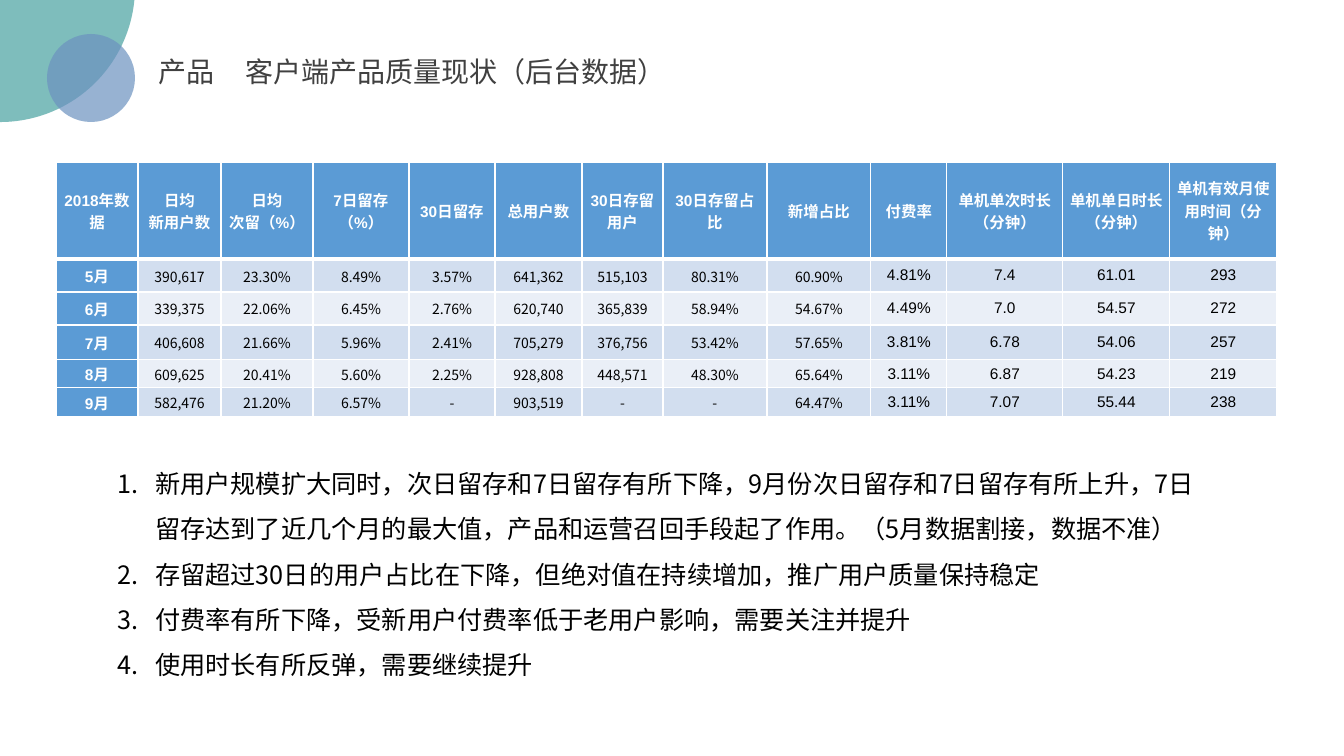
"""Build the client product quality slide with its monthly table and findings."""
from dataclasses import dataclass

from lxml import etree
from pptx import Presentation
from pptx.dml.color import RGBColor
from pptx.enum.shapes import MSO_SHAPE
from pptx.enum.text import MSO_ANCHOR, MSO_AUTO_SIZE, PP_ALIGN
from pptx.oxml.ns import qn
from pptx.util import Emu, Pt

SLIDE_W, SLIDE_H = 1344, 756
EMU_PER_PX = 12192000 / SLIDE_W

OVAL = MSO_SHAPE.OVAL
TOP, MIDDLE = MSO_ANCHOR.TOP, MSO_ANCHOR.MIDDLE
LEFT, CENTER = PP_ALIGN.LEFT, PP_ALIGN.CENTER
NO_AUTOFIT = MSO_AUTO_SIZE.NONE

WHITE = RGBColor(0xFF, 0xFF, 0xFF)
BLACK = RGBColor(0x00, 0x00, 0x00)
GRAY = RGBColor(0x40, 0x40, 0x40)
TEAL = RGBColor(0x48, 0xA2, 0xA0)
SLATE = RGBColor(0x6C, 0x92, 0xC0)
BLUE = RGBColor(0x5B, 0x9B, 0xD5)
BAND_DARK = RGBColor(0xD2, 0xDE, 0xEF)
BAND_LIGHT = RGBColor(0xEA, 0xEF, 0xF7)

CJK_FONT, LATIN_FONT = "Noto Sans CJK SC", "Arial"


@dataclass(frozen=True)
class Circle:
    left: int
    top: int
    size: int
    color: RGBColor


@dataclass(frozen=True)
class Column:
    width: int
    header: str
    values: tuple[str, ...]


@dataclass(frozen=True)
class CellStyle:
    font: str
    size: int
    color: RGBColor
    bold: bool
    inset: tuple[int, int, int, int]


CIRCLES = (Circle(-135, -148, 270, TEAL), Circle(47, 34, 88, SLATE))

HEADING = CellStyle(LATIN_FONT, 11, WHITE, True, (7, 0, 7, 0))
COUNT = CellStyle(CJK_FONT, 10, BLACK, False, (1, 1, 1, 0))
USAGE = CellStyle(LATIN_FONT, 11, BLACK, False, (7, 0, 7, 0))
FIRST_USAGE_COLUMN = 9

ROW_HEIGHTS = (97, 33, 33, 35, 28, 29)
COLUMNS = (
    Column(82, "2018年数据", ("5月", "6月", "7月", "8月", "9月")),
    Column(83, "日均\n新用户数", ("390,617", "339,375", "406,608", "609,625", "582,476")),
    Column(92, "日均\n次留（%）", ("23.30%", "22.06%", "21.66%", "20.41%", "21.20%")),
    Column(96, "7日留存（%）", ("8.49%", "6.45%", "5.96%", "5.60%", "6.57%")),
    Column(86, "30日留存", ("3.57%", "2.76%", "2.41%", "2.25%", "-")),
    Column(87, "总用户数", ("641,362", "620,740", "705,279", "928,808", "903,519")),
    Column(81, "30日存留用户", ("515,103", "365,839", "376,756", "448,571", "-")),
    Column(104, "30日存留占比", ("80.31%", "58.94%", "53.42%", "48.30%", "-")),
    Column(104, "新增占比", ("60.90%", "54.67%", "57.65%", "65.64%", "64.47%")),
    Column(76, "付费率", ("4.81%", "4.49%", "3.81%", "3.11%", "3.11%")),
    Column(116, "单机单次时长（分钟）", ("7.4", "7.0", "6.78", "6.87", "7.07")),
    Column(107, "单机单日时长（分钟）", ("61.01", "54.57", "54.06", "54.23", "55.44")),
    Column(107, "单机有效月使用时间（分钟）", ("293", "272", "257", "219", "238")),
)

TITLE = "产品\t客户端产品质量现状（后台数据）"
FINDINGS = (
    "新用户规模扩大同时，次日留存和7日留存有所下降，9月份次日留存和7日留存有所上升，"
    "7日留存达到了近几个月的最大值，产品和运营召回手段起了作用。（5月数据割接，数据不准）",
    "存留超过30日的用户占比在下降，但绝对值在持续增加，推广用户质量保持稳定",
    "付费率有所下降，受新用户付费率低于老用户影响，需要关注并提升",
    "使用时长有所反弹，需要继续提升",
)


def px(n: int) -> Emu:
    return Emu(round(n * EMU_PER_PX))


def write(tf, text: str, *, size: int, color: RGBColor, font: str = CJK_FONT,
          bold: bool = False, align=LEFT, spacing: float = 1.0) -> None:
    for i, line in enumerate(text.split("\n")):
        p = tf.paragraphs[0] if i == 0 else tf.add_paragraph()
        p.alignment, p.line_spacing, p.space_before = align, spacing, Pt(0)
        r = p.add_run()
        r.text = line
        r.font.name, r.font.size, r.font.bold = font, Pt(size), bold
        r.font.color.rgb = color
        latin = r.font._element.find(qn("a:latin"))
        ea = etree.Element(qn("a:ea"), typeface=CJK_FONT)
        latin.addnext(ea)


def place(s, left: int, top: int, width: int, height: int):
    s.left, s.top, s.width, s.height = px(left), px(top), px(width), px(height)
    tf = s.text_frame
    tf.word_wrap, tf.auto_size, tf.vertical_anchor = True, NO_AUTOFIT, TOP
    return tf


def add_circle(slide, circle: Circle) -> None:
    s = slide.shapes.add_shape(OVAL, px(circle.left), px(circle.top),
                               px(circle.size), px(circle.size))
    s.shadow.inherit = False
    s.fill.solid()
    s.fill.fore_color.rgb = circle.color
    s.line.fill.background()
    rgb = s.element.spPr.find(".//" + qn("a:srgbClr"))
    etree.SubElement(rgb, qn("a:alpha"), val="70000")


def add_title(slide) -> None:
    tf = place(slide.shapes.title, 148, 49, 560, 44)
    write(tf, TITLE, size=20, color=GRAY)
    pPr = tf.paragraphs[0]._p.get_or_add_pPr()
    tabs = etree.SubElement(pPr, qn("a:tabLst"))
    etree.SubElement(tabs, qn("a:tab"), pos=str(px(87)), algn="l")


def add_findings(slide) -> None:
    tf = place(slide.placeholders[1], 107, 448, 1121, 239)
    write(tf, "\n".join(FINDINGS), size=18, color=BLACK, spacing=1.5)
    for p in tf.paragraphs:
        pPr = p._p.get_or_add_pPr()
        pPr.set("marL", str(px(38)))
        pPr.set("indent", str(-px(38)))
        etree.SubElement(pPr, qn("a:buFont"), typeface=CJK_FONT)
        etree.SubElement(pPr, qn("a:buAutoNum"), type="arabicPeriod")


def set_borders(cell, top: int, bottom: int) -> None:
    tcPr = cell._tc.get_or_add_tcPr()
    for side, width in (("L", 1), ("R", 1), ("T", top), ("B", bottom)):
        ln = etree.SubElement(tcPr, qn(f"a:ln{side}"), w=str(Pt(width)))
        fill = etree.SubElement(ln, qn("a:solidFill"))
        etree.SubElement(fill, qn("a:srgbClr"), val=str(WHITE))


def fill_cell(cell, text: str, row: int, col: int) -> None:
    heading = row == 0 or col == 0
    style = HEADING if heading else USAGE if col >= FIRST_USAGE_COLUMN else COUNT
    set_borders(cell, 3 if row == 1 else 1, 3 if row == 0 else 1)
    cell.fill.solid()
    cell.fill.fore_color.rgb = BLUE if heading else BAND_DARK if row % 2 else BAND_LIGHT
    cell.vertical_anchor = MIDDLE
    cell.margin_left, cell.margin_top, cell.margin_right, cell.margin_bottom = map(px, style.inset)
    write(cell.text_frame, text, size=style.size, color=style.color,
          font=style.font, bold=style.bold, align=CENTER)


def add_metrics(slide) -> None:
    width = sum(column.width for column in COLUMNS)
    table = slide.shapes.add_table(len(ROW_HEIGHTS), len(COLUMNS), px(56), px(162),
                                   px(width), px(sum(ROW_HEIGHTS))).table
    for row, height in enumerate(ROW_HEIGHTS):
        table.rows[row].height = px(height)
    for col, column in enumerate(COLUMNS):
        table.columns[col].width = px(column.width)
        for row, text in enumerate((column.header, *column.values)):
            fill_cell(table.cell(row, col), text, row, col)


def main() -> None:
    prs = Presentation()
    prs.slide_width, prs.slide_height = px(SLIDE_W), px(SLIDE_H)
    slide = prs.slides.add_slide(prs.slide_layouts[1])
    for circle in CIRCLES:
        add_circle(slide, circle)
    add_title(slide)
    add_findings(slide)
    add_metrics(slide)
    prs.save("out.pptx")


if __name__ == "__main__":
    main()
